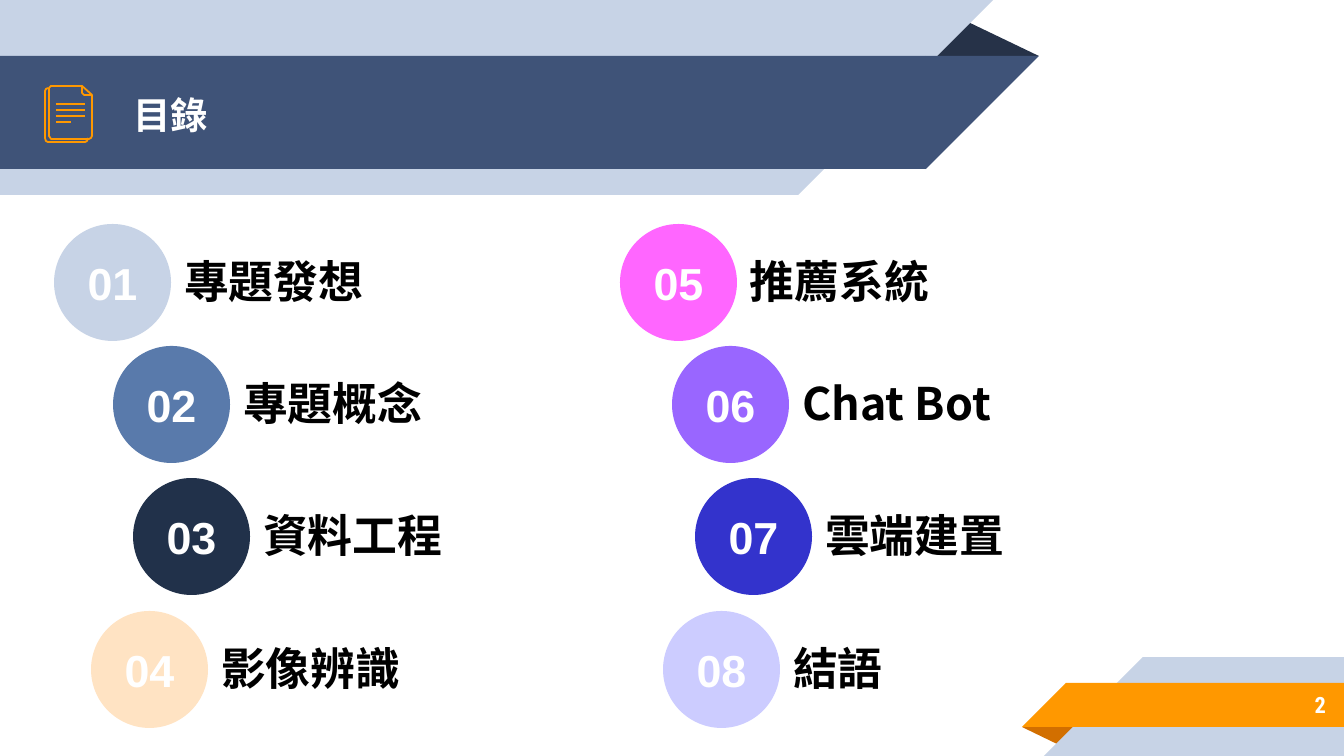
from dataclasses import dataclass

from lxml import etree
from pptx import Presentation
from pptx.dml.color import RGBColor
from pptx.enum.shapes import MSO_CONNECTOR, MSO_SHAPE
from pptx.enum.text import MSO_ANCHOR, PP_ALIGN
from pptx.oxml.ns import qn
from pptx.util import Pt

RECT = MSO_SHAPE.RECTANGLE
WEDGE = MSO_SHAPE.RIGHT_TRIANGLE
PEAK = MSO_SHAPE.ISOSCELES_TRIANGLE
DISC = MSO_SHAPE.OVAL
LINE = MSO_CONNECTOR.STRAIGHT
MIDDLE = MSO_ANCHOR.MIDDLE
LEFT, CENTER, RIGHT = PP_ALIGN.LEFT, PP_ALIGN.CENTER, PP_ALIGN.RIGHT
SCALE = 9144000 / 1344


@dataclass(frozen=True)
class Theme:
    pale: str = "C7D3E6"
    navy: str = "3F5378"
    shade: str = "263248"
    orange: str = "FF9800"
    rust: str = "D26F00"
    white: str = "FFFFFF"
    black: str = "000000"
    title: tuple = ("Noto Sans CJK TC", 20)
    label: tuple = ("Noto Sans CJK SC", 24)
    number: tuple = ("Arial", 24)
    page: tuple = ("Roboto Condensed", 12)
    stroke: float = 0.96


THEME = Theme()
DISC_SIZE = 117
ROWS = (224, 346, 478, 611)
TOPICS = (
    (
        (54, "C7D3E6", "專題發想"),
        (113, "597AAB", "專題概念"),
        (133, "21314A", "資料工程"),
        (91, "FFE3C3", "影像辨識"),
    ),
    (
        (620, "FF66FF", "推薦系統"),
        (672, "9966FF", "Chat Bot"),
        (695, "3333CC", "雲端建置"),
        (663, "CCCCFF", "結語"),
    ),
)


def px(value):
    return round(value * SCALE)


def place(shape, box):
    for name, value in zip(("left", "top", "width", "height"), box):
        setattr(shape, name, px(value))


def paint(shapes, kind, box, fill):
    shape = shapes.add_shape(kind, *map(px, box))
    shape.shadow.inherit = False
    shape.fill.solid()
    shape.fill.fore_color.rgb = RGBColor.from_string(fill)
    shape.line.fill.background()
    return shape


def write(shape, text, face, color, align=LEFT, inset=(13, 13)):
    frame = shape.text_frame
    side, edge = map(px, inset)
    form = {
        "word_wrap": True,
        "vertical_anchor": MIDDLE,
        "margin_left": side,
        "margin_right": side,
        "margin_top": edge,
        "margin_bottom": edge,
    }
    for name, value in form.items():
        setattr(frame, name, value)
    para = frame.paragraphs[0]
    para.alignment = align
    run = para.add_run()
    run.text = text
    font = run.font
    for name, value in {"name": face[0], "size": Pt(face[1]), "bold": True}.items():
        setattr(font, name, value)
    font.color.rgb = RGBColor.from_string(color)
    east = etree.SubElement(run._r.get_or_add_rPr(), qn("a:ea"))
    east.set("typeface", face[0])


def band(shapes, box, fill, turn):
    x, y, w, h = box
    body = x if turn else x + h
    tip = x + w - h if turn else x
    paint(shapes, RECT, (body, y, w - h, h), fill)
    wedge = paint(shapes, WEDGE, (tip, y, h, h), fill)
    wedge.rotation = turn
    wedge._element.spPr.find(qn("a:xfrm")).set("flipH", "1")


def fold(shapes, box, fill, turn):
    shape = paint(shapes, PEAK, box, fill)
    shape.adjustments[0] = 0.324
    shape.rotation = turn


def trace(line):
    line.color.rgb = RGBColor.from_string(THEME.orange)
    line.width = Pt(THEME.stroke)


def icon(shapes, x, y):
    back = ((43, 52), (42, 55), (40, 56), (3, 56), (1, 55), (0, 52), (0, 5), (1, 3), (3, 2))
    front = ((47, 9), (47, 50), (46, 52), (44, 53), (6, 53), (4, 50), (4, 2), (6, 0), (37, 0))
    flap = ((37, 0), (47, 9), (39, 9), (37, 7))
    for points, close in ((back, False), (front, False), (flap, True)):
        spots = [(x + a, y + b) for a, b in points]
        path = shapes.build_freeform(*spots[0], scale=SCALE)
        path.add_line_segments(spots[1:], close=close)
        shape = path.convert_to_shape()
        shape.shadow.inherit = False
        shape.fill.background()
        trace(shape.line)
    for row, end in enumerate((40, 40, 40, 26)):
        level = y + 18 + 6 * row
        rule = shapes.add_connector(LINE, px(x + 11), px(level), px(x + end), px(level))
        etree.SubElement(rule._element.spPr, qn("a:effectLst"))
        trace(rule.line)


def header(shapes, box):
    x, y, w, h = box
    fold(shapes, (x + 925, y + 19, 114, 37), THEME.shade, 0)
    band(shapes, (x, y, w, h), THEME.pale, 180)
    band(shapes, (x, y + 56, w + 46, 113), THEME.navy, 180)
    title = shapes.title
    title._element.getparent().append(title._element)
    place(title, (x + 120, y + 58, 773, 113))
    write(title, "目錄", THEME.title, THEME.white)
    icon(shapes, x + 45, y + 86)


def footer(shapes, box):
    x, y, w, h = box
    fold(shapes, (x, y + 70, 58, 19), THEME.rust, 180)
    band(shapes, (x + 22, y, w - 22, h), THEME.pale, 0)
    band(shapes, (x, y + 26, w, 44), THEME.orange, 0)
    page = shapes.add_textbox(*map(px, (x + 98, y + 24, 219, 47)))
    write(page, "2", THEME.page, THEME.white, RIGHT)


def topic(shapes, box, fill, number, text):
    x, y, w, h = box
    disc = paint(shapes, DISC, (x, y, w, h), fill)
    write(disc, number, THEME.number, THEME.white, CENTER, (13, 7))
    label = shapes.add_textbox(*map(px, (x + w, y + 23, 237, 67)))
    write(label, text, THEME.label, THEME.black, inset=(13, 7))


def main():
    deck = Presentation()
    deck.slide_width, deck.slide_height = px(1344), px(756)
    shapes = deck.slides.add_slide(deck.slide_layouts[5]).shapes
    header(shapes, (0, 0, 993, 195))
    footer(shapes, (1022, 657, 322, 99))
    for col, topics in enumerate(TOPICS):
        for row, (x, fill, text) in enumerate(topics):
            number = f"{col * len(ROWS) + row + 1:02}"
            topic(shapes, (x, ROWS[row], DISC_SIZE, DISC_SIZE), fill, number, text)
    deck.save("out.pptx")


if __name__ == "__main__":
    main()
